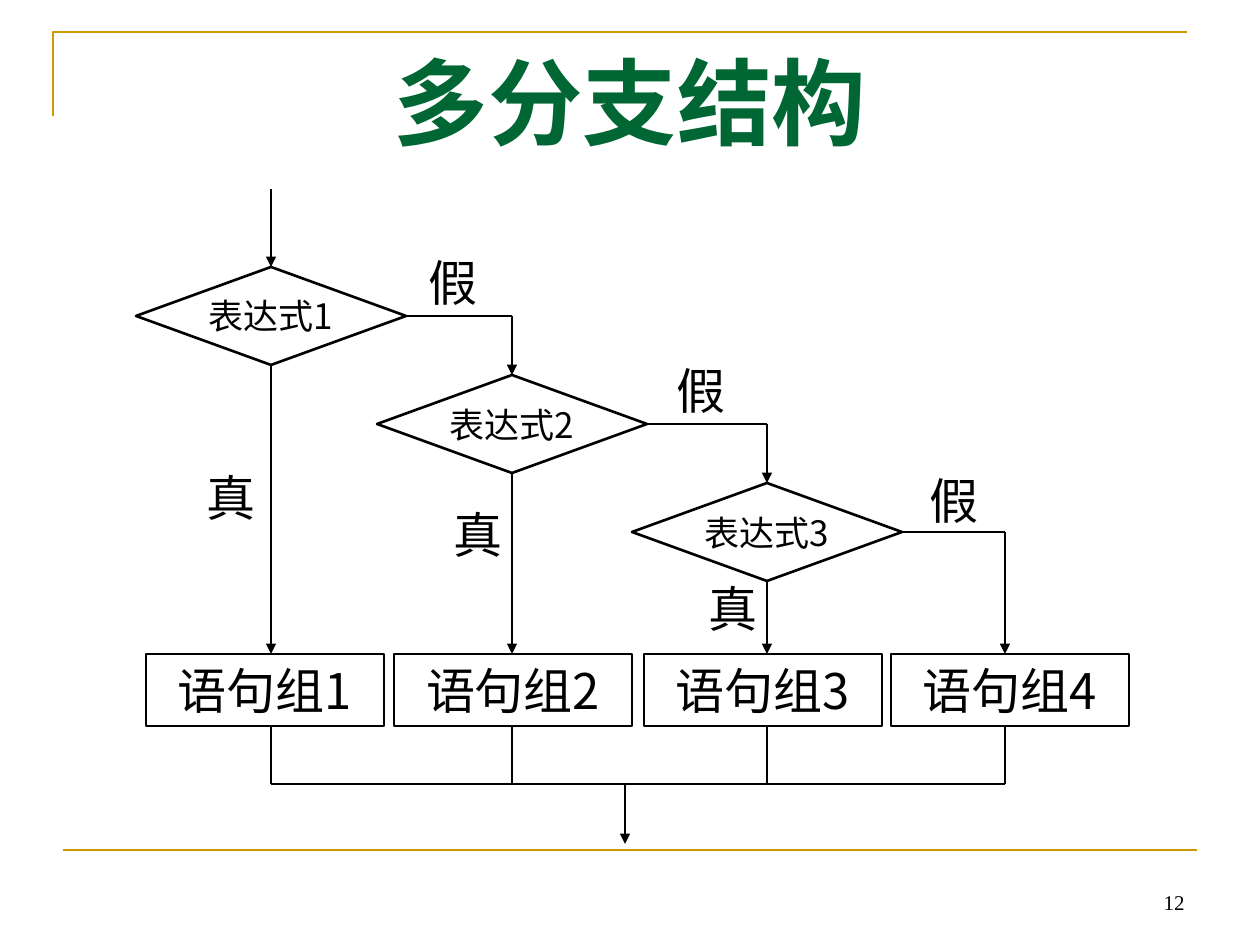
from dataclasses import dataclass
from typing import Optional

from pptx import Presentation
from pptx.dml.color import RGBColor
from pptx.enum.shapes import MSO_CONNECTOR as Connector, MSO_SHAPE as Preset
from pptx.enum.text import MSO_ANCHOR as Anchor, PP_ALIGN as Align
from pptx.oxml.ns import qn
from pptx.util import Pt
from lxml.etree import SubElement

SCALE = 914400 / 126
COLORS = {"ink": "000000", "paper": "FFFFFF", "title": "006633", "gold": "CC9900"}
CJK = "Noto Sans CJK SC"
SERIF = "Times New Roman"
LINE_WIDTH = Pt(1.5)
TOP, BOTTOM, RIGHT = 0, 2, 3


@dataclass(frozen=True)
class Node:
    text: str
    left: int
    top: int
    width: int
    height: int
    preset: Optional[Preset] = None
    fill: Optional[str] = None
    wrap: bool = False
    size: int = 28


@dataclass(frozen=True)
class Link:
    x1: int
    y1: int
    x2: int
    y2: int
    arrow: bool = False
    color: str = "ink"
    source: Optional[str] = None
    side: int = BOTTOM
    target: Optional[str] = None


COLUMNS = (271, 512, 767, 1005)
STATEMENT_TOP, STATEMENT_HEIGHT = 654, 72
STATEMENT_BOTTOM = STATEMENT_TOP + STATEMENT_HEIGHT
MERGE_Y = 784
DECISIONS = [
    Node(f"表达式{number}", x - 135, top, 270, 98, Preset.FLOWCHART_DECISION, "paper", size=20)
    for number, (x, top) in enumerate(zip(COLUMNS, (267, 375, 483)), 1)
]
STATEMENTS = [
    Node(f"语句组{number}", left, STATEMENT_TOP, 238, STATEMENT_HEIGHT,
         Preset.RECTANGLE, wrap=True)
    for number, left in enumerate((146, 394, 644, 891), 1)
]
LABELS = [
    Node(text, left, top, 74, 72)
    for text, places in (
        ("真", ((194, 461), (441, 498), (696, 572))),
        ("假", ((416, 246), (664, 354), (917, 464))),
    )
    for left, top in places
]
ENTRY = Link(271, 189, 271, 267, True, target="表达式1")
FOOTER_RULE = Link(63, 850, 1197, 850, color="gold")
MERGE_LINKS = [Link(x, STATEMENT_BOTTOM, x, MERGE_Y) for x in COLUMNS] + [
    Link(COLUMNS[0], MERGE_Y, COLUMNS[-1], MERGE_Y),
    Link(625, MERGE_Y, 625, 844, True),
]


def branch_links() -> list[Link]:
    links = []
    for index, node in enumerate(DECISIONS):
        x, next_x = COLUMNS[index:index + 2]
        middle = node.top + node.height // 2
        follower = DECISIONS[index + 1] if index + 1 < len(DECISIONS) else None
        drop_end = follower.top if follower else STATEMENT_TOP
        links += [
            Link(x, node.top + node.height, x, STATEMENT_TOP, True, source=node.text),
            Link(node.left + node.width, middle, next_x, middle,
                 source=node.text, side=RIGHT),
            Link(next_x, middle, next_x, drop_end, True,
                 target=follower.text if follower else None),
        ]
    return links


def px(value: int) -> int:
    return round(value * SCALE)


def color(name: str) -> RGBColor:
    return RGBColor.from_string(COLORS[name])


def write_text(box, text: str, *, size=28, font=CJK, ink="ink", bold=False,
               align=Align.CENTER, anchor=Anchor.MIDDLE, wrap=False) -> None:
    frame = box.text_frame
    frame.word_wrap = wrap
    frame.vertical_anchor = anchor
    para = frame.paragraphs[0]
    para.alignment = align
    para.space_before = Pt(0)
    span = para.add_run()
    span.text = text
    span.font.size = Pt(size)
    span.font.name = font
    span.font.bold = bold
    span.font.color.rgb = color(ink)
    SubElement(span.font._element, qn("a:ea")).set("typeface", CJK)


def draw_node(page, node: Node):
    place = [px(value) for value in (node.left, node.top, node.width, node.height)]
    if node.preset is None:
        box = page.shapes.add_textbox(*place)
    else:
        box = page.shapes.add_shape(node.preset, *place)
        box.shadow.inherit = False
        box.line.color.rgb = color("ink")
        box.line.width = LINE_WIDTH
        if node.fill:
            box.fill.solid()
            box.fill.fore_color.rgb = color(node.fill)
        else:
            box.fill.background()
    write_text(box, node.text, size=node.size, wrap=node.wrap)
    return box


def draw_link(page, link: Link, nodes: dict) -> None:
    ends = [px(value) for value in (link.x1, link.y1, link.x2, link.y2)]
    line = page.shapes.add_connector(Connector.STRAIGHT, *ends)
    line.line.color.rgb = color(link.color)
    line.line.width = LINE_WIDTH
    if link.arrow:
        SubElement(line.line._get_or_add_ln(), qn("a:tailEnd")).set("type", "triangle")
    SubElement(line._element.spPr, qn("a:effectLst"))
    if link.source:
        line.begin_connect(nodes[link.source], link.side)
    if link.target:
        line.end_connect(nodes[link.target], TOP)


def draw_corner(page) -> None:
    builder = page.shapes.build_freeform(53, 116, scale=SCALE)
    builder.add_line_segments([(53, 32), (1187, 32)], close=False)
    corner = builder.convert_to_shape()
    corner.shadow.inherit = False
    corner.fill.background()
    corner.line.color.rgb = color("gold")
    corner.line.width = LINE_WIDTH


def draw_title(page) -> None:
    title = page.shapes.title
    title.left, title.top, title.width, title.height = map(px, (63, 38, 1134, 157))
    write_text(title, "多分支结构", size=54, font=SERIF, ink="title", bold=True,
               anchor=Anchor.TOP, wrap=True)


def main() -> None:
    deck = Presentation()
    deck.slide_width, deck.slide_height = px(1260), px(945)
    page = deck.slides.add_slide(deck.slide_layouts[5])
    draw_corner(page)
    draw_link(page, FOOTER_RULE, {})
    number = page.shapes.add_textbox(px(903), px(858), px(294), px(63))
    write_text(number, "12", size=12, font=SERIF, align=Align.RIGHT,
               anchor=Anchor.BOTTOM, wrap=True)
    draw_title(page)
    nodes = {node.text: draw_node(page, node) for node in DECISIONS + STATEMENTS}
    for link in [ENTRY, *branch_links(), *MERGE_LINKS]:
        draw_link(page, link, nodes)
    for label in LABELS:
        draw_node(page, label)
    deck.save("out.pptx")


if __name__ == "__main__":
    main()
